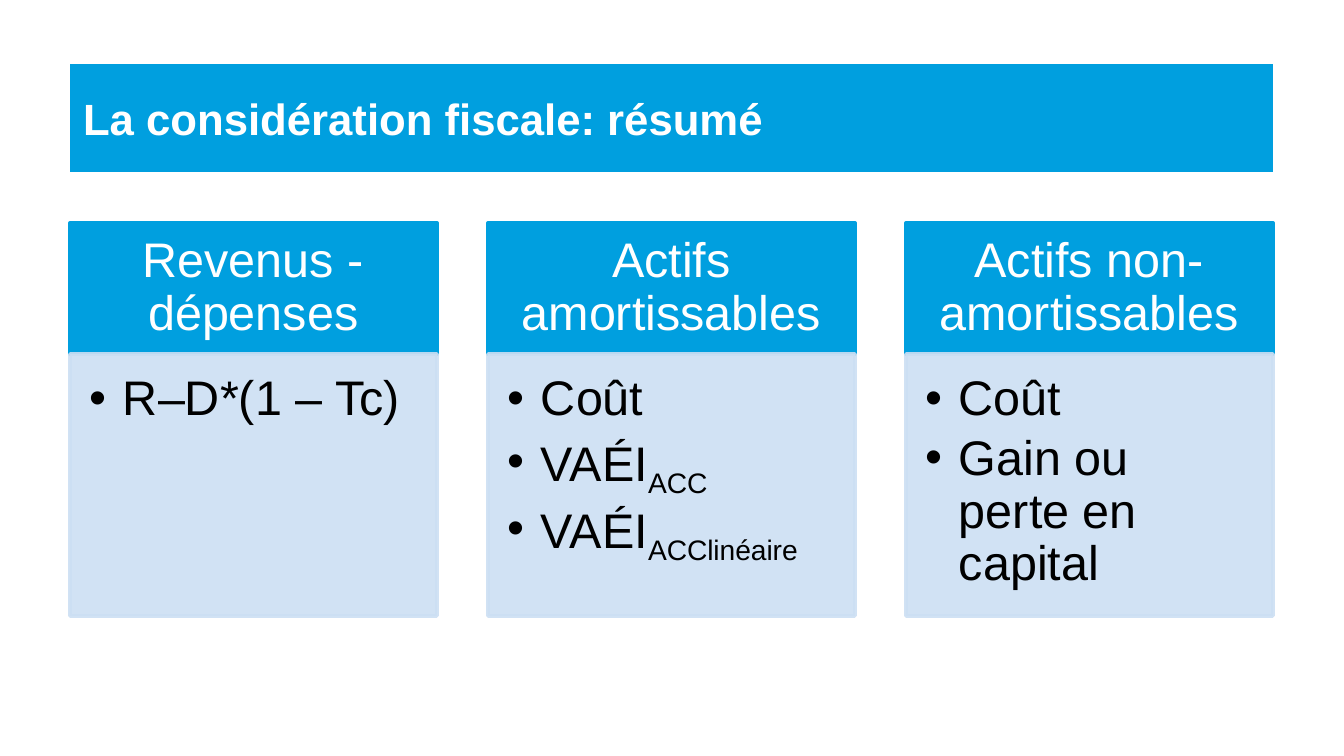
from lxml import etree
from pptx import Presentation
from pptx.dml.color import RGBColor
from pptx.enum.shapes import MSO_SHAPE
from pptx.enum.text import MSO_ANCHOR, MSO_AUTO_SIZE, PP_ALIGN
from pptx.oxml.ns import qn
from pptx.util import Emu, Pt

RECTANGLE = MSO_SHAPE.RECTANGLE
TOP, MIDDLE = MSO_ANCHOR.TOP, MSO_ANCHOR.MIDDLE
LEFT, CENTER = PP_ALIGN.LEFT, PP_ALIGN.CENTER

BLUE = RGBColor(0x00, 0x9F, 0xDF)
PALE_BLUE = RGBColor(0xCC, 0xDF, 0xF3)
WHITE = RGBColor(0xFF, 0xFF, 0xFF)
BLACK = RGBColor(0x00, 0x00, 0x00)

PX = 914400 / 134.4
SLIDE_W, SLIDE_H = 1344, 756
CARD_LEFT, CARD_TOP, CARD_W, CARD_STEP = 70, 223, 367, 418
HEAD_H, LIST_H = 131, 262
LIST_INDENT = 33


def px(length):
    return Emu(round(length * PX))


def write(shape, paragraphs, size=26, color=BLACK, bold=False, align=LEFT,
          anchor=TOP, insets=(13, 7, 13, 7), spacing=0.9, bullet=False):
    """Fill a shape; each paragraph is a (text, subscript) pair."""
    frame = shape.text_frame
    frame.word_wrap = True
    frame.auto_size = MSO_AUTO_SIZE.NONE
    frame.vertical_anchor = anchor
    (frame.margin_left, frame.margin_top,
     frame.margin_right, frame.margin_bottom) = map(px, insets)
    for i, (text, subscript) in enumerate(paragraphs):
        paragraph = frame.add_paragraph() if i else frame.paragraphs[0]
        paragraph.alignment = align
        paragraph.line_spacing = spacing
        if bullet:
            paragraph.space_after = Pt(4)
            props = paragraph._p.get_or_add_pPr()
            props.set("marL", str(px(LIST_INDENT)))
            props.set("indent", str(px(-LIST_INDENT)))
            etree.SubElement(props, qn("a:buFont"), typeface="Arial")
            etree.SubElement(props, qn("a:buChar"), char="•")
        for part, baseline in ((text, None), (subscript, "-25000")):
            if not part:
                continue
            run = paragraph.add_run()
            run.text = part
            run.font.name = "Arial"
            run.font.size = Pt(size)
            run.font.bold = bold
            run.font.color.rgb = color
            if baseline:
                run._r.get_or_add_rPr().set("baseline", baseline)


def add_panel(x, y, height, color, opacity=100):
    panel = slide.shapes.add_shape(RECTANGLE, px(x), px(y), px(CARD_W), px(height))
    panel.shadow.inherit = False
    panel.fill.solid()
    panel.fill.fore_color.rgb = color
    panel.line.color.rgb = color
    panel.line.width = Pt(2)
    if opacity < 100:
        for tint in panel._element.spPr.iter(qn("a:srgbClr")):
            etree.SubElement(tint, qn("a:alpha"), val=str(opacity * 1000))
    return panel


prs = Presentation()
prs.slide_width, prs.slide_height = px(SLIDE_W), px(SLIDE_H)
slide = prs.slides.add_slide(prs.slide_layouts[5])

# Title band
title = slide.shapes.title
title.left, title.top, title.width, title.height = map(px, (70, 64, 1203, 108))
title.fill.solid()
title.fill.fore_color.rgb = BLUE
write(title, [("La considération fiscale: résumé", "")], size=23.4,
      color=WHITE, bold=True, anchor=MIDDLE, spacing=1.0)

# Three cards: heading above, bullet list below
cards = [
    ("Revenus - dépenses", [("R–D*(1 – Tc)", "")]),
    ("Actifs amortissables",
     [("Coût", ""), ("VAÉI", "ACC"), ("VAÉI", "ACClinéaire")]),
    ("Actifs non-amortissables",
     [("Coût", ""), ("Gain ou perte en capital", "")]),
]
for column, (heading, items) in enumerate(cards):
    x = CARD_LEFT + column * CARD_STEP
    head = add_panel(x, CARD_TOP, HEAD_H, BLUE)
    write(head, [(heading, "")], color=WHITE, align=CENTER, anchor=MIDDLE,
          insets=(27, 16, 27, 16))
    body = add_panel(x, CARD_TOP + HEAD_H, LIST_H, PALE_BLUE, opacity=90)
    write(body, items, insets=(20, 20, 27, 31), bullet=True)

prs.save("out.pptx")
